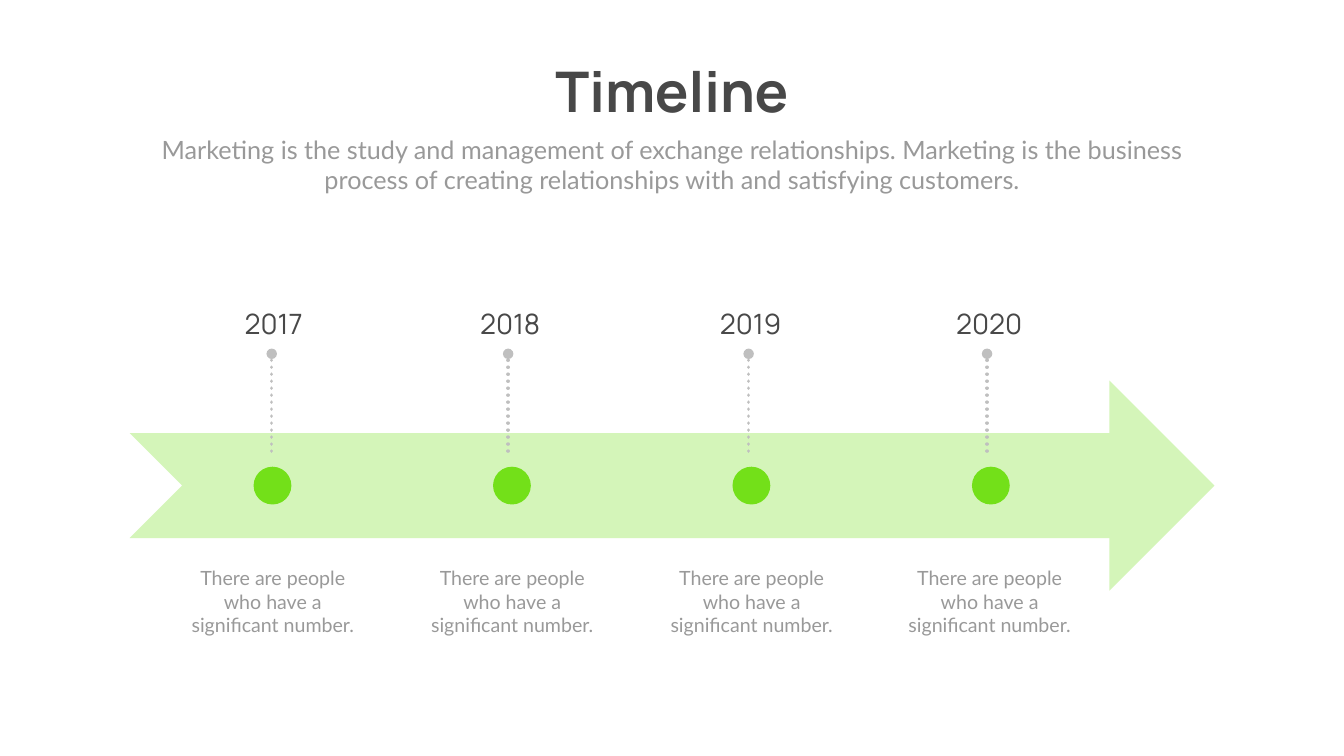
"""Build a timeline slide with four yearly milestones on a notched arrow."""
from dataclasses import dataclass

import lxml.etree
import pptx
import pptx.dml.color
import pptx.enum.dml
import pptx.enum.shapes
import pptx.enum.text
import pptx.oxml.ns
import pptx.util

Inches = pptx.util.Inches
qn = pptx.oxml.ns.qn

COLORS = {
    "heading": "484848",
    "body": "999999",
    "accent": "73E019",
    "leader": "BFBFBF",
}
DESCRIPTION = "There are people who have a significant number."
MARKER_LEFT, MARKER_PITCH, MARKER_SIZE = 5.03, 4.75, 0.75
LEADER_OFFSET, LEADER_TOP, LEADER_BOTTOM = 1.83, 7.02, 8.95


@dataclass(frozen=True)
class Milestone:
    """A year with the left edges of its two text boxes."""
    year: str
    year_left: float
    description_left: float


@dataclass(frozen=True)
class TextStyle:
    """The look of one kind of text box."""
    font: str
    size: float
    color: str
    bold: bool = False
    vertical_inset: float = 0
    wrap: bool = True


TITLE = TextStyle("Manrope", 80, "heading", bold=True, wrap=False)
SUBTITLE = TextStyle("Lato", 36, "body", vertical_inset=0.05)
YEAR = TextStyle("Manrope", 40, "heading")
CAPTION = TextStyle("Lato", 28, "body", vertical_inset=0.05)

MILESTONES = [
    Milestone("2017", 3.56, 3.59),
    Milestone("2018", 8.25, 8.34),
    Milestone("2019", 13.02, 13.09),
    Milestone("2020", 17.75, 17.81),
]


def rgb(name: str) -> pptx.dml.color.RGBColor:
    """Return a named colour."""
    return pptx.dml.color.RGBColor.from_string(COLORS[name])


def set_attributes(target, values: dict) -> None:
    """Apply a dict of format values to an object."""
    for name, value in values.items():
        setattr(target, name, value)


def add_text(slide, text: str, left: float, top: float, width: float,
             height: float, style: TextStyle) -> None:
    """Add a centred text box."""
    box = slide.shapes.add_textbox(
        Inches(left), Inches(top), Inches(width), Inches(height))
    set_attributes(box.text_frame, {
        "word_wrap": style.wrap,
        "auto_size": pptx.enum.text.MSO_AUTO_SIZE.SHAPE_TO_FIT_TEXT,
        "margin_top": Inches(style.vertical_inset),
        "margin_bottom": Inches(style.vertical_inset),
    })
    paragraph = box.text_frame.paragraphs[0]
    paragraph.alignment = pptx.enum.text.PP_ALIGN.CENTER
    run = paragraph.add_run()
    run.text = text
    set_attributes(run.font, {
        "name": style.font,
        "size": pptx.util.Pt(style.size),
        "bold": style.bold,
    })
    run.font.color.rgb = rgb(style.color)


def add_filled_shape(shapes, kind, left: float, top: float, width: float,
                     height: float, opacity: int = 100) -> None:
    """Add an accent shape without outline, at an opacity in percent."""
    shape = shapes.add_shape(
        kind, Inches(left), Inches(top), Inches(width), Inches(height))
    shape.shadow.inherit = False
    shape.fill.solid()
    shape.fill.fore_color.rgb = rgb("accent")
    if opacity < 100:
        color = shape.element.spPr.find(f".//{qn('a:srgbClr')}")
        alpha = lxml.etree.SubElement(color, qn("a:alpha"))
        alpha.set("val", str(opacity * 1000))
    shape.line.fill.background()


def add_leader(slide, x: float) -> None:
    """Add a dotted vertical line with a round upper end."""
    connector = slide.shapes.add_connector(
        pptx.enum.shapes.MSO_CONNECTOR.STRAIGHT,
        Inches(x), Inches(LEADER_BOTTOM), Inches(x), Inches(LEADER_TOP))
    connector.line.color.rgb = rgb("leader")
    set_attributes(connector.line, {
        "width": pptx.util.Pt(5),
        "dash_style": pptx.enum.dml.MSO_LINE.ROUND_DOT,
    })
    line = connector.get_or_add_ln()
    line.set("cap", "rnd")
    lxml.etree.SubElement(line, qn("a:tailEnd")).set("type", "oval")
    lxml.etree.SubElement(connector.element.spPr, qn("a:effectLst"))


def main() -> None:
    """Create and save the presentation."""
    presentation = pptx.Presentation()
    set_attributes(presentation, {
        "slide_width": Inches(26.66), "slide_height": Inches(15)})
    slide = presentation.slides.add_slide(presentation.slide_layouts[6])
    shape_kinds = pptx.enum.shapes.MSO_SHAPE

    add_text(slide, "Timeline", 10.74, 1.12, 5.18, 1.45, TITLE)
    add_text(slide, "Marketing is the study and management of exchange "
             "relationships. Marketing is the business process of creating "
             "relationships with and satisfying customers.",
             2.92, 2.61, 20.82, 1.31, SUBTITLE)
    add_filled_shape(slide.shapes, shape_kinds.NOTCHED_RIGHT_ARROW,
                     2.57, 7.55, 21.52, 4.17, opacity=30)

    markers = slide.shapes.add_group_shape()
    for index in range(len(MILESTONES)):
        add_filled_shape(markers.shapes, shape_kinds.OVAL,
                         MARKER_LEFT + index * MARKER_PITCH, 9.26,
                         MARKER_SIZE, MARKER_SIZE)

    for milestone in MILESTONES:
        add_text(slide, milestone.year, milestone.year_left, 6.08,
                 3.74, 0.77, YEAR)
        add_leader(slide, milestone.year_left + LEADER_OFFSET)
        add_text(slide, DESCRIPTION, milestone.description_left, 11.18,
                 3.64, 1.51, CAPTION)

    presentation.save("out.pptx")


if __name__ == "__main__":
    main()
